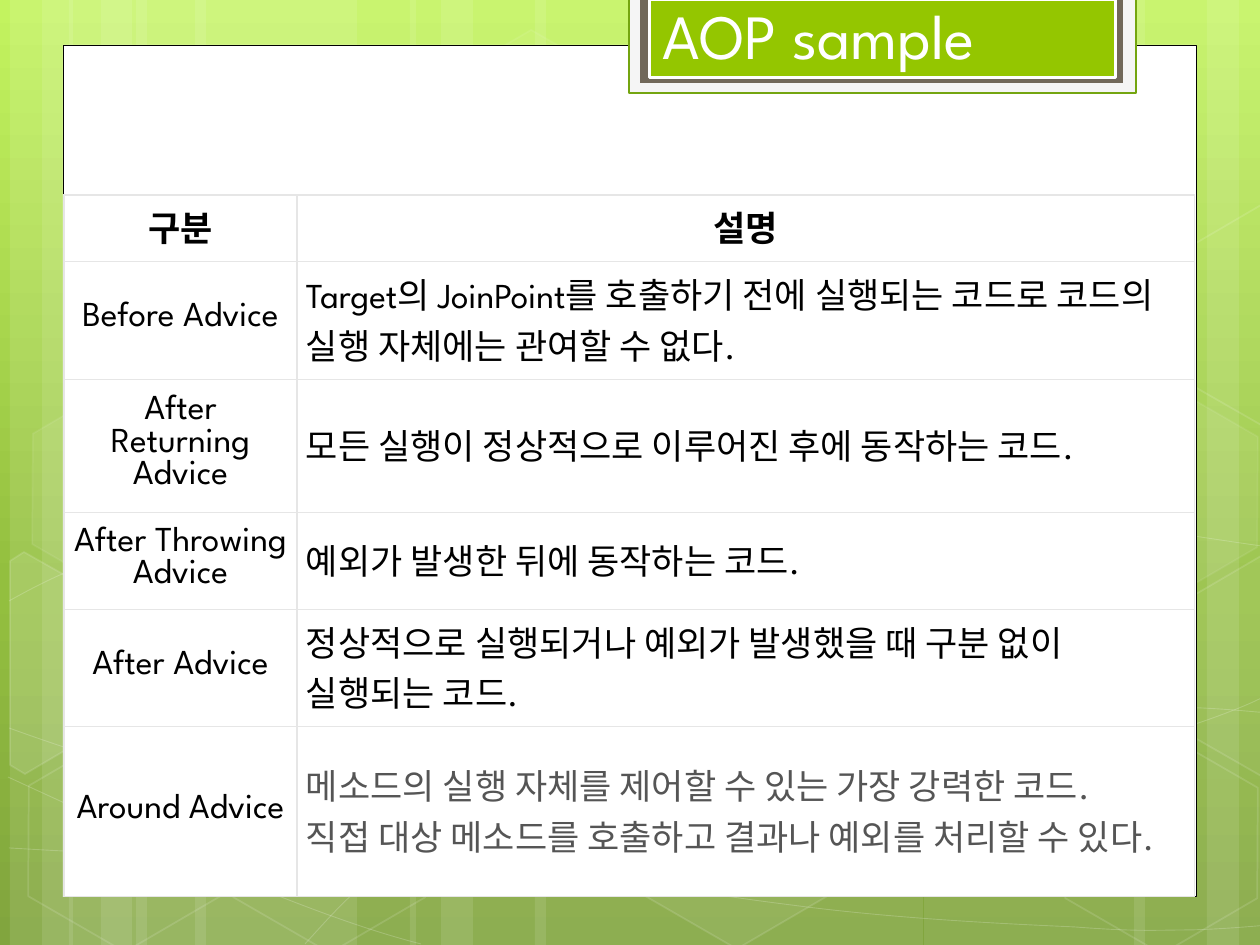
from lxml import etree
from pptx import Presentation
from pptx.dml.color import RGBColor
from pptx.enum.shapes import MSO_SHAPE
from pptx.enum.text import MSO_ANCHOR, PP_ALIGN
from pptx.oxml.ns import qn
from pptx.util import Pt

PX = 914400 / 126
FONT = "League Spartan"
WHITE = RGBColor(0xFF, 0xFF, 0xFF)
BLACK = RGBColor(0, 0, 0)
GRAY = RGBColor(0x55, 0x55, 0x55)
GRID = RGBColor(0xE6, 0xE6, 0xE6)
GREEN = RGBColor(0x94, 0xC6, 0x00)
DARK_GREEN = RGBColor(0x74, 0xA5, 0x10)
SMOKE = RGBColor(0xF5, 0xF5, 0xF5)
BROWN = RGBColor(0x71, 0x68, 0x5A)
SKY = [(0, RGBColor(0xC3, 0xF3, 0x5F)), (62, RGBColor(0x93, 0xBF, 0x3F)), (100, RGBColor(0x81, 0xA5, 0x3E))]

BARS = [(136, 221), (10, 63), (42, 105), (195, 221), (69, 63), (101, 105),
        (924, 221), (1207, 63), (1134, 105), (535, 388), (410, 63), (441, 105)]
CURVES = [
    [(9, 848), (77, 852), (145, 856), (239, 854), (334, 853), (451, 850), (577, 838),
     (703, 825), (882, 801), (998, 777), (1113, 753), (1231, 716), (1269, 694)],
    [(9, 601), (45, 581), (82, 562), (152, 543), (224, 524), (326, 496), (437, 488),
     (549, 479), (685, 478), (824, 488), (963, 498), (1193, 537), (1269, 547)],
    [(8, 777), (160, 847), (311, 916), (421, 944)],
    [(9, 728), (48, 742), (88, 756), (161, 776), (234, 795), (344, 827), (450, 848),
     (554, 869), (687, 892), (791, 905), (896, 919), (1008, 924), (1075, 927),
     (1140, 932), (1158, 930), (1191, 930), (1223, 929), (1246, 927), (1269, 925)],
    [(305, 944), (328, 919), (350, 893), (381, 871), (411, 848), (454, 823), (489, 805),
     (524, 787), (546, 780), (592, 767), (638, 755), (722, 737), (766, 728),
     (811, 719), (818, 719), (857, 717), (896, 713), (958, 709), (1000, 708),
     (1045, 707), (1116, 708), (1116, 708), (1144, 708), (1173, 708), (1201, 708),
     (1223, 709), (1245, 711), (1256, 712), (1268, 713), (1264, 712), (1268, 713)],
]
HEXAGONS = [(421, 45, 4, 8), (626, 742, 6, 12), (14, 745, 0, 12), (18, 393, 7, 8),
            (219, 746, 0, 12), (949, 571, 10, 12), (1051, 747, 0, 12), (1051, 396, 7, 8)]
LEFT_HEXAGON = [(10, 561), (24, 552), (121, 607), (120, 718), (25, 774), (10, 765)]
RIGHT_HEXAGON = [(1167, 611), (1261, 556), (1271, 562), (1271, 772), (1263, 777), (1167, 722)]
ADVICE = [
    ("구분", ["설명"]),
    ("Before Advice", ["Target의 JoinPoint를 호출하기 전에 실행되는 코드로 코드의 실행 자체에는 관여할 수 없다."]),
    ("After Returning Advice", ["모든 실행이 정상적으로 이루어진 후에 동작하는 코드."]),
    ("After Throwing Advice", ["예외가 발생한 뒤에 동작하는 코드."]),
    ("After Advice", ["정상적으로 실행되거나 예외가 발생했을 때 구분 없이 실행되는 코드."]),
    ("Around Advice", ["메소드의 실행 자체를 제어할 수 있는 가장 강력한 코드.",
                       "직접 대상 메소드를 호출하고 결과나 예외를 처리할 수 있다."]),
]


def px(length):
    return round(length * PX)


class SlideBuilder:
    """Draws styled elements on one slide, with lengths in pixels."""

    def __init__(self, slide):
        self.slide = slide
        self.shapes = slide.shapes

    def background(self, stops):
        fill = self.slide.background.fill
        fill.gradient()
        fill.gradient_angle = 270
        stop_list = next(self.slide.element.iter(qn("a:gsLst")))
        for old in list(stop_list):
            stop_list.remove(old)
        for percent, color in stops:
            stop = etree.SubElement(stop_list, qn("a:gs"), pos=str(percent * 1000))
            etree.SubElement(stop, qn("a:srgbClr"), val=str(color))

    def paint(self, shape, fill=None, alpha=100, line=None, width=1, line_alpha=100):
        shape.shadow.inherit = False
        layers = ((shape.fill, fill, alpha, "a:solidFill/a:srgbClr"),
                  (shape.line.fill, line, line_alpha, "a:ln/a:solidFill/a:srgbClr"))
        for target, color, opacity, path in layers:
            if color is None:
                target.background()
                continue
            target.solid()
            target.fore_color.rgb = color
            if opacity < 100:
                node = shape.element.spPr.find("/".join(qn(tag) for tag in path.split("/")))
                etree.SubElement(node, qn("a:alpha"), val=str(opacity * 1000))
        if line is not None:
            shape.line.width = Pt(width)
        return shape

    def box(self, x, y, w, h, kind=MSO_SHAPE.RECTANGLE, **style):
        return self.paint(self.shapes.add_shape(kind, px(x), px(y), px(w), px(h)), **style)

    def hexagon(self, x, y, **style):
        shape = self.box(x, y, 221, 192, MSO_SHAPE.HEXAGON, **style)
        shape.adjustments[0] = 0.285
        shape.rotation = 30

    def outline(self, points, close=True, **style):
        builder = self.shapes.build_freeform(*points[0], scale=PX)
        builder.add_line_segments(points[1:], close=close)
        return self.paint(builder.convert_to_shape(), **style)

    def curve(self, points, **style):
        shape = self.outline(points, close=False, **style)
        path = next(shape.element.iter(qn("a:path")))
        segments = path.findall(qn("a:lnTo"))
        for first in range(0, len(segments), 3):
            bezier = etree.SubElement(path, qn("a:cubicBezTo"))
            for segment in segments[first:first + 3]:
                bezier.append(segment[0])
                path.remove(segment)

    def text(self, paragraph, content, size, color, bold=False, align=PP_ALIGN.LEFT):
        paragraph.alignment = align
        run = paragraph.add_run()
        run.text = content
        run.font.name, run.font.size, run.font.bold = FONT, Pt(size), bold
        run.font.color.rgb = color

    def title(self, content, x, y, w, h):
        shape = self.box(x, y, w, h, fill=GREEN, line=WHITE, width=1.75)
        shape.text_frame.word_wrap = True
        shape.text_frame.vertical_anchor = MSO_ANCHOR.BOTTOM
        self.text(shape.text_frame.paragraphs[0], content, 36, WHITE)

    def cell(self, cell, lines, color, bold, align):
        cell.fill.background()
        cell.vertical_anchor = MSO_ANCHOR.MIDDLE
        cell.margin_left = cell.margin_right = px(9)
        cell.margin_top, cell.margin_bottom = px(6), px(10)
        frame = cell.text_frame
        for number, content in enumerate(lines):
            paragraph = frame.add_paragraph() if number else frame.paragraphs[0]
            self.text(paragraph, content, 20, color, bold, align)

    def borders(self, frame):
        for properties in frame.element.iter(qn("a:tcPr")):
            for index, side in enumerate(("lnL", "lnR", "lnT", "lnB")):
                border = etree.Element(qn("a:" + side), w=str(int(Pt(0.75))))
                solid = etree.SubElement(border, qn("a:solidFill"))
                etree.SubElement(solid, qn("a:srgbClr"), val=str(GRID))
                properties.insert(index, border)

    def table(self, rows, x, y, widths, heights):
        frame = self.shapes.add_table(len(rows), len(widths), px(x), px(y),
                                      px(sum(widths)), px(sum(heights)))
        table = frame.table
        table.first_row = table.horz_banding = False
        for column, width in zip(table.columns, widths):
            column.width = px(width)
        for index, (name, description) in enumerate(rows):
            table.rows[index].height = px(heights[index])
            header, last = index == 0, index == len(rows) - 1
            self.cell(table.cell(index, 0), [name], BLACK, header, PP_ALIGN.CENTER)
            self.cell(table.cell(index, 1), description, GRAY if last else BLACK, header,
                      PP_ALIGN.CENTER if header else PP_ALIGN.LEFT)
        self.borders(frame)


deck = Presentation()
deck.slide_width, deck.slide_height = px(1260), px(945)
page = SlideBuilder(deck.slides.add_slide(deck.slide_layouts[6]))

page.background(SKY)
for left, width in BARS:
    page.box(left, 0, width, 945, fill=WHITE, alpha=10)
for points in CURVES:
    page.curve(points, line=WHITE, width=0.5, line_alpha=20)
for left, top, alpha, line_alpha in HEXAGONS:
    page.hexagon(left, top, fill=WHITE if alpha else None, alpha=alpha, line=WHITE, line_alpha=line_alpha)
page.outline(LEFT_HEXAGON, fill=WHITE, alpha=10, line=WHITE, line_alpha=12)
page.outline(RIGHT_HEXAGON, fill=WHITE, alpha=4, line=WHITE, line_alpha=12)
page.outline([(x, y - 351) for x, y in RIGHT_HEXAGON], line=WHITE, line_alpha=12)

page.box(63, 45, 1134, 852, fill=WHITE, line=BLACK, width=0.5)
page.box(629, -3, 507, 96, fill=SMOKE, line=DARK_GREEN, width=1.25)
page.box(640, -3, 483, 86, fill=BROWN)
page.table(ADVICE, 64, 195, [233, 898], [60, 97, 133, 97, 97, 170])
page.title("AOP sample", 650, 0, 466, 78)

deck.save("out.pptx")
